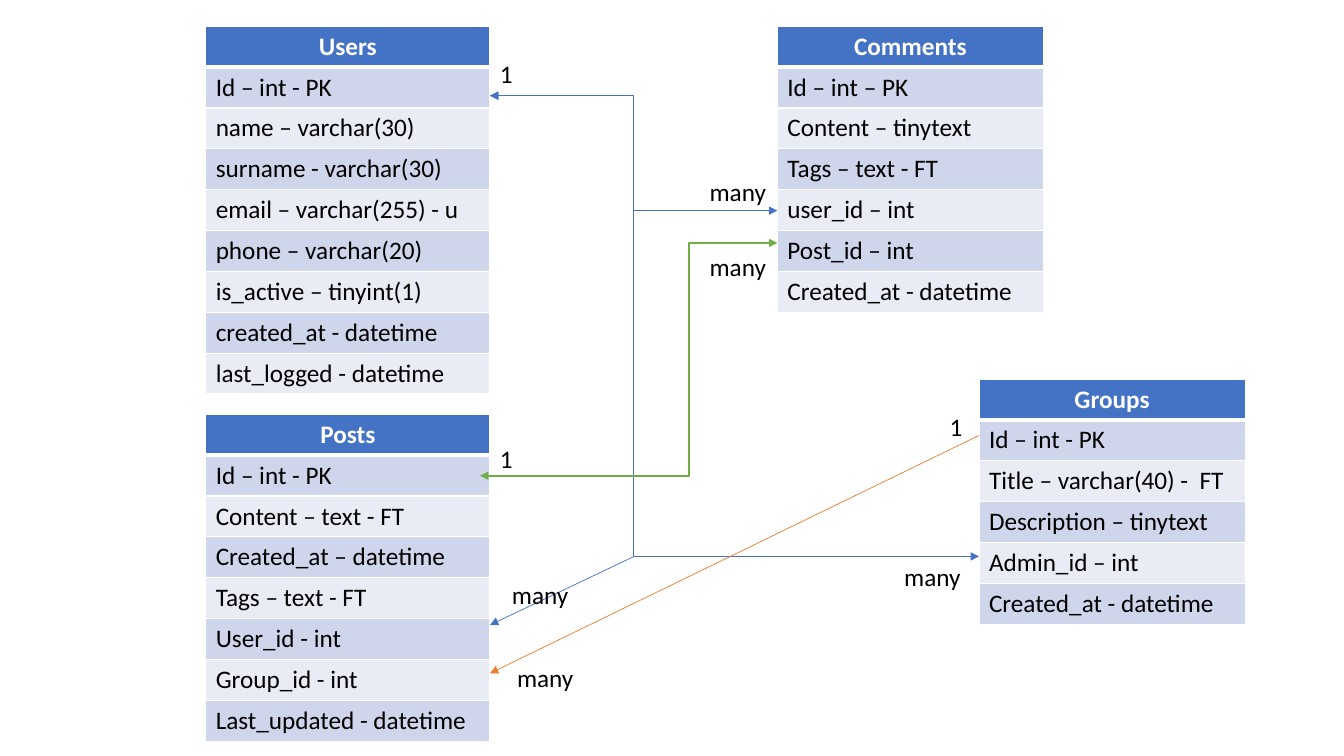
"""Build a database schema slide with four tables and their relations."""
from lxml.etree import SubElement
from pptx import Presentation
from pptx.dml.color import RGBColor
from pptx.enum.shapes import MSO_CONNECTOR as Connector
from pptx.enum.text import MSO_ANCHOR, PP_ALIGN
from pptx.oxml.ns import qn
from pptx.util import Inches, Pt

BLUE = RGBColor(0x44, 0x72, 0xC4)
GREEN = RGBColor(0x70, 0xAD, 0x47)
ORANGE = RGBColor(0xED, 0x7D, 0x31)
BAND_DARK = RGBColor(0xCF, 0xD5, 0xEA)
BAND_LIGHT = RGBColor(0xE9, 0xEB, 0xF5)
WHITE = RGBColor(0xFF, 0xFF, 0xFF)
BLACK = RGBColor(0x00, 0x00, 0x00)
ROW_HEIGHT = Inches(3.65) // 9


def style_text(paragraph, color, bold=False):
    font = paragraph.runs[0].font
    font.name = "Calibri"
    font.size = Pt(18)
    font.bold = bold
    font.color.rgb = color


def add_border(cell, side, points):
    properties = cell._tc.get_or_add_tcPr()
    border = SubElement(properties, qn(f"a:ln{side}"), w=str(Pt(points)))
    fill = SubElement(border, qn("a:solidFill"))
    SubElement(fill, qn("a:srgbClr"), val=str(WHITE))


presentation = Presentation()
presentation.slide_width = Inches(13.33)
presentation.slide_height = Inches(7.5)
slide = presentation.slides.add_slide(presentation.slide_layouts[6])

entities = [
    (2.04, 0.26, 2.82, [
        "Users", "Id – int - PK", "name – varchar(30)", "surname - varchar(30)",
        "email – varchar(255) - u", "phone – varchar(20)", "is_active – tinyint(1)",
        "created_at - datetime", "last_logged - datetime"]),
    (9.71, 3.76, 2.64, [
        "Groups", "Id – int - PK", "Title – varchar(40) -  FT",
        "Description – tinytext", "Admin_id – int", "Created_at - datetime"]),
    (2.04, 4.11, 2.82, [
        "Posts", "Id – int - PK", "Content – text - FT", "Created_at – datetime",
        "Tags – text - FT", "User_id - int", "Group_id - int",
        "Last_updated - datetime"]),
    (7.71, 0.26, 2.64, [
        "Comments", "Id – int – PK", "Content – tinytext", "Tags – text - FT",
        "user_id – int", "Post_id – int", "Created_at - datetime"]),
]
for left, top, width, rows in entities:
    table = slide.shapes.add_table(
        len(rows), 1, Inches(left), Inches(top), Inches(width),
        ROW_HEIGHT * len(rows)).table
    for index, text in enumerate(rows):
        is_header = index == 0
        cell = table.cell(index, 0)
        cell.text_frame.text = text
        paragraph = cell.text_frame.paragraphs[0]
        paragraph.alignment = PP_ALIGN.CENTER if is_header else PP_ALIGN.LEFT
        style_text(paragraph, WHITE if is_header else BLACK, is_header)
        for side in "LRTB":
            under_header = (index, side) in [(0, "B"), (1, "T")]
            add_border(cell, side, 3 if under_header else 1)
        cell.fill.solid()
        band = BAND_DARK if index % 2 else BAND_LIGHT
        cell.fill.fore_color.rgb = BLUE if is_header else band

BOTH_ENDS = ["headEnd", "tailEnd"]
END_ONLY = ["tailEnd"]
relations = [
    (Connector.ELBOW, (4.86, 0.95), (7.71, 2.09), BLUE, 0.5, BOTH_ENDS, 0.5),
    (Connector.ELBOW, (4.86, 0.95), (9.71, 5.52), BLUE, 0.5, BOTH_ENDS, 0.294),
    (Connector.STRAIGHT, (6.29, 5.52), (4.86, 6.2), BLUE, 0.5, END_ONLY, None),
    (Connector.ELBOW, (4.76, 4.72), (7.71, 2.41), GREEN, 1.5, BOTH_ENDS, 0.703),
    (Connector.STRAIGHT, (9.71, 4.32), (4.86, 6.68), ORANGE, 0.5, END_ONLY, None),
]
for kind, start, end, color, points, arrowheads, bend in relations:
    connector = slide.shapes.add_connector(kind, *map(Inches, start + end))
    connector.line.color.rgb = color
    connector.line.width = Pt(points)
    for arrowhead in arrowheads:
        SubElement(connector.line._ln, qn(f"a:{arrowhead}"), type="triangle")
    properties = connector._element.spPr
    SubElement(properties, qn("a:effectLst"))
    if bend:
        adjustments = properties.find(qn("a:prstGeom")).get_or_add_avLst()
        SubElement(adjustments, qn("a:gd"), name="adj1",
                   fmla=f"val {round(bend * 100000)}")

label_widths = {"1": 0.33, "many": 0.77}
labels = [
    ("1", 9.32, 4.03), ("many", 5.03, 6.52), ("many", 6.94, 2.44), ("1", 4.86, 4.35),
    ("many", 6.94, 1.7), ("1", 4.86, 0.53), ("many", 8.87, 5.52), ("many", 4.98, 5.7),
]
for text, left, top in labels:
    label = slide.shapes.add_textbox(
        Inches(left), Inches(top), Inches(label_widths[text]), Inches(0.4))
    label.text_frame.word_wrap = False
    label.text_frame.vertical_anchor = MSO_ANCHOR.TOP
    label.text_frame.text = text
    style_text(label.text_frame.paragraphs[0], BLACK)

presentation.save("out.pptx")
